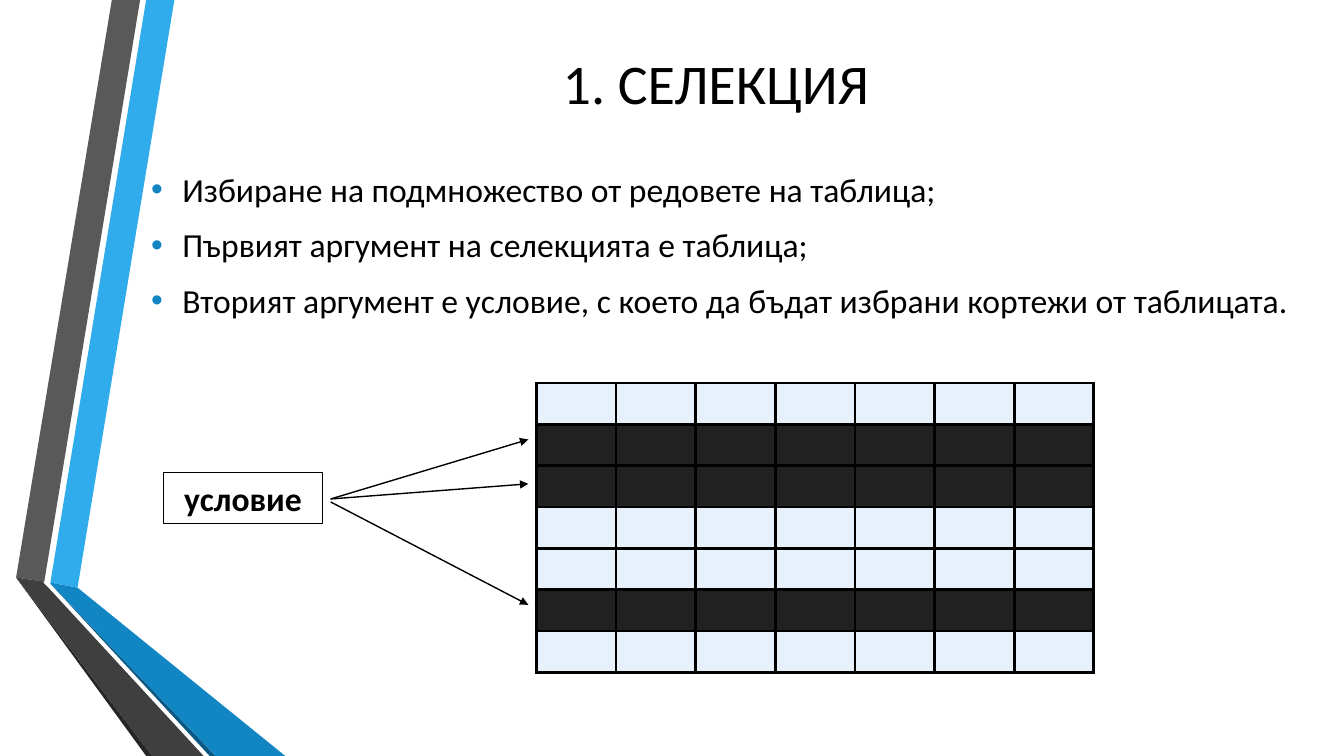
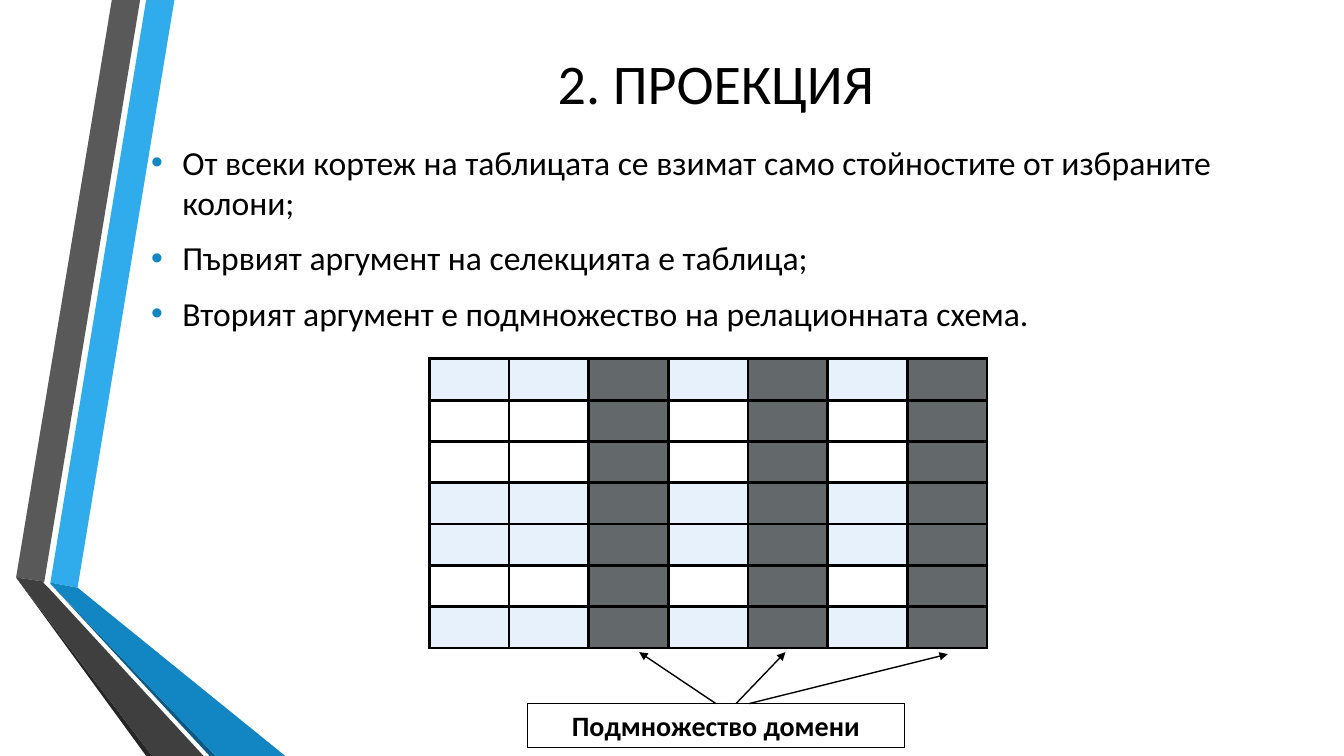
from lxml import etree
from pptx import Presentation
from pptx.dml.color import RGBColor
from pptx.enum.shapes import MSO_CONNECTOR, MSO_SHAPE
from pptx.enum.text import MSO_ANCHOR, PP_ALIGN
from pptx.oxml.ns import qn
from pptx.util import Emu, Pt

STRAIGHT, RECTANGLE = MSO_CONNECTOR.STRAIGHT, MSO_SHAPE.RECTANGLE
MIDDLE, CENTER = MSO_ANCHOR.MIDDLE, PP_ALIGN.CENTER
TOP_SIDE = 0

PX = 9144  # 100 px to the inch
SLIDE_SIZE = (1333, 750)
FONT = "Calibri"
BLACK, WHITE, BULLET_BLUE = "000000", "FFFFFF", "1186C3"
PALE, DARK, GREY = "E7F1FB", "212121", "63696B"

TITLE_BOX = (162, 16, 1096, 131)
BULLET_INDENT = 31
GRID_SIZE, CELL_W, CELL_H = 7, 79, 41

RIBBONS = [
    ("30ACEC", [(50, 578), (77, 583), (173, 0), (145, 0)]),
    ("595959", [(139, 0), (111, 0), (16, 573), (44, 577)]),
    ("262626", [(16, 573), (145, 750), (151, 750)]),
    ("0B5982", [(50, 579), (208, 750), (214, 750)]),
    (BULLET_BLUE, [(50, 578), (50, 579), (214, 750), (283, 750), (77, 583)]),
    ("3F3F3F", [(202, 750), (48, 583), (43, 578), (44, 577), (16, 573), (151, 750)]),
]

SLIDES = [
    {
        "title": "1. СЕЛЕКЦИЯ",
        "bullets": [
            "Избиране на подмножество от редовете на таблица;",
            "Първият аргумент на селекцията е таблица;",
            "Вторият аргумент е условие, с което да бъдат избрани кортежи от таблицата.",
        ],
        "bullets_box": (140, 124, 1180, 237),
        "grid_at": (532, 380),
        "row_fills": [PALE, DARK, DARK, PALE, PALE, DARK, PALE],
        "chosen_columns": (),
        "label": ("условие", 24, (162, 469, 158, 50)),
        "arrows": [((328, 495), (524, 436)), ((328, 495), (524, 480)),
                   ((328, 498), (524, 600))],
    },
    {
        "title": "2. ПРОЕКЦИЯ",
        "bullets": [
            "От всеки кортеж на таблицата се взимат само стойностите от избраните колони;",
            "Първият аргумент на селекцията е таблица;",
            "Вторият аргумент е подмножество на релационната схема.",
        ],
        "bullets_box": (140, 124, 1180, 223),
        "grid_at": (426, 356),
        "row_fills": [PALE, WHITE, WHITE, PALE, PALE, WHITE, PALE],
        "chosen_columns": (2, 4, 6),
        "label": ("Подмножество домени", 20, (523, 698, 374, 44)),
        "arrows": [((743, 698), (940, 649)), ((730, 698), (779, 647)),
                   ((710, 698), (634, 647))],
    },
]


def px(*lengths):
    return [Emu(length * PX) for length in lengths]


def rgb(color):
    return RGBColor.from_string(color)


def paint(part, color):
    part.fill.solid()
    part.fill.fore_color.rgb = rgb(color)


def add_xml(parent, tag, **attributes):
    return etree.SubElement(parent, qn(tag), attributes)


def add_run(paragraph, text, size, bold=False):
    run = paragraph.add_run()
    run.text = text
    run.font.name, run.font.size, run.font.bold = FONT, Pt(size), bold
    run.font.color.rgb = rgb(BLACK)


def set_up_layout(layout, slide):
    """Place the title and move the ribbons, drawn on slide, behind the layout's parts."""
    title = layout.placeholders[0]
    title.left, title.top, title.width, title.height = px(*TITLE_BOX)
    for order, (color, points) in enumerate(RIBBONS):
        builder = slide.shapes.build_freeform(*points[0], scale=PX)
        builder.add_line_segments(points[1:], close=True)
        ribbon = builder.convert_to_shape()
        ribbon.shadow.inherit = False
        paint(ribbon, color)
        ribbon.line.fill.background()
        ribbon.element.nvSpPr.cNvPr.set("id", str(100 + order))
        layout.shapes.element.insert(2 + order, ribbon.element)


def add_title(slide, text):
    paragraph = slide.shapes.title.text_frame.paragraphs[0]
    paragraph.alignment = CENTER
    add_run(paragraph, text, 40)


def add_bullets(slide, items, box):
    frame = slide.shapes.add_textbox(*px(*box)).text_frame
    frame.word_wrap = True
    frame.vertical_anchor = MIDDLE
    for order, item in enumerate(items):
        paragraph = frame.add_paragraph() if order else frame.paragraphs[0]
        if order:
            paragraph.space_before = Pt(10.8)
        props = paragraph._p.get_or_add_pPr()
        props.set("marL", str(BULLET_INDENT * PX))
        props.set("indent", str(-BULLET_INDENT * PX))
        add_xml(add_xml(props, "a:buClr"), "a:srgbClr", val=BULLET_BLUE)
        add_xml(props, "a:buFont", typeface="Arial")
        add_xml(props, "a:buChar", char="•")
        add_run(paragraph, item, 24)


def add_borders(cell):
    props = cell._tc.get_or_add_tcPr()
    for side in ("a:lnL", "a:lnR", "a:lnT", "a:lnB"):
        border = add_xml(props, side, w=str(Pt(2.25)))
        add_xml(add_xml(border, "a:solidFill"), "a:srgbClr", val=BLACK)


def add_grid(slide, corner, row_fills, chosen_columns):
    size = (GRID_SIZE * CELL_W, GRID_SIZE * CELL_H)
    grid = slide.shapes.add_table(GRID_SIZE, GRID_SIZE, *px(*corner, *size)).table
    for column in grid.columns:
        column.width = Emu(CELL_W * PX)
    for row, row_fill in zip(grid.rows, row_fills):
        row.height = Emu(CELL_H * PX)
        for index, cell in enumerate(row.cells):
            add_borders(cell)
            paint(cell, GREY if index in chosen_columns else row_fill)


def add_label(slide, text, size, box):
    label = slide.shapes.add_shape(RECTANGLE, *px(*box))
    label.shadow.inherit = False
    paint(label, WHITE)
    label.line.color.rgb = rgb(BLACK)
    label.line.width = Pt(0.75)
    label.text_frame.vertical_anchor = MIDDLE
    paragraph = label.text_frame.paragraphs[0]
    paragraph.alignment = CENTER
    add_run(paragraph, text, size, bold=True)
    return label


def add_arrow(slide, start, end, label):
    arrow = slide.shapes.add_connector(STRAIGHT, *px(*start, *end))
    if px(*start) == [label.left + label.width // 2, label.top]:
        arrow.begin_connect(label, TOP_SIDE)
    arrow.line.color.rgb = rgb(BLACK)
    arrow.line.width = Pt(1)
    add_xml(arrow.line._get_or_add_ln(), "a:tailEnd", type="triangle")
    add_xml(arrow.element.spPr, "a:effectLst")


def main():
    deck = Presentation()
    deck.slide_width, deck.slide_height = px(*SLIDE_SIZE)
    layout = deck.slide_layouts[5]
    for order, content in enumerate(SLIDES):
        slide = deck.slides.add_slide(layout)
        if order == 0:
            set_up_layout(layout, slide)
        add_title(slide, content["title"])
        add_bullets(slide, content["bullets"], content["bullets_box"])
        add_grid(slide, content["grid_at"], content["row_fills"],
                 content["chosen_columns"])
        label = add_label(slide, *content["label"])
        for start, end in content["arrows"]:
            add_arrow(slide, start, end, label)
    deck.save("out.pptx")


if __name__ == "__main__":
    main()
